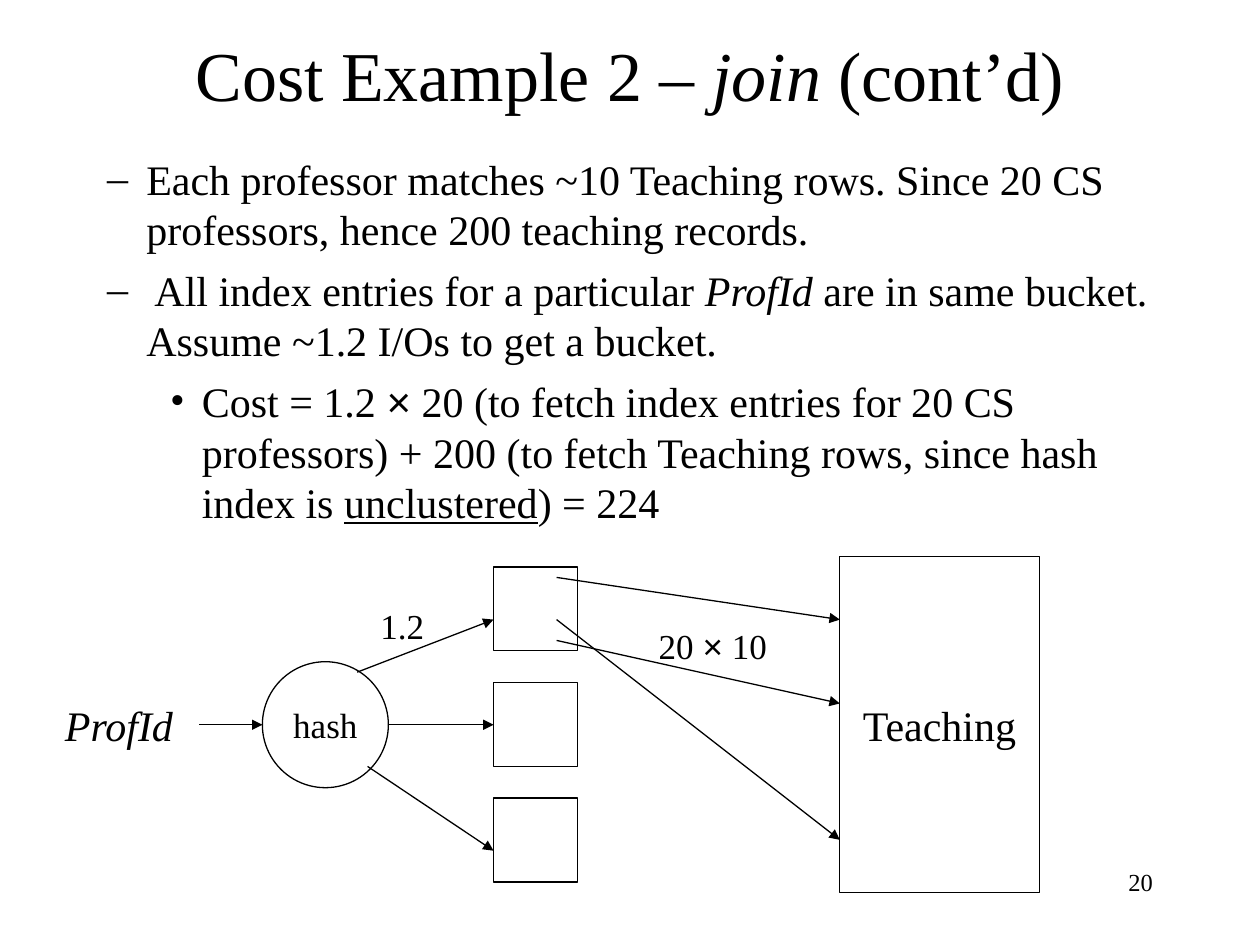
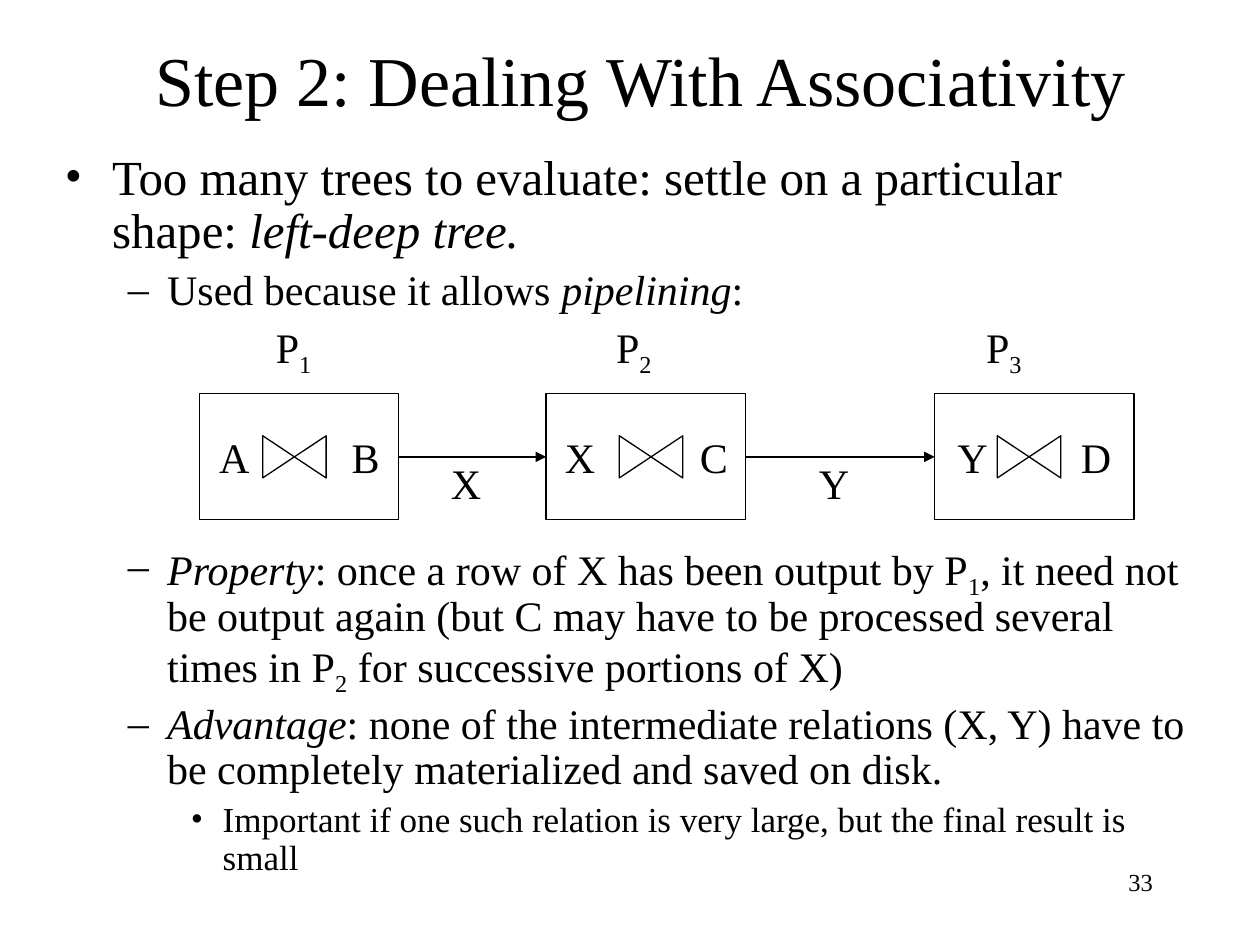
from dataclasses import dataclass

from lxml import etree
from pptx import Presentation
from pptx.dml.color import RGBColor
from pptx.enum.shapes import MSO_CONNECTOR, MSO_SHAPE
from pptx.enum.text import MSO_ANCHOR, PP_ALIGN
from pptx.oxml.ns import qn
from pptx.util import Cm, Pt

RECT, OVAL, TRIANGLE = MSO_SHAPE.RECTANGLE, MSO_SHAPE.OVAL, MSO_SHAPE.ISOSCELES_TRIANGLE
STRAIGHT = MSO_CONNECTOR.STRAIGHT
LEFT, CENTER, RIGHT = PP_ALIGN.LEFT, PP_ALIGN.CENTER, PP_ALIGN.RIGHT
MIDDLE = MSO_ANCHOR.MIDDLE


@dataclass
class Theme:
    ink: RGBColor = RGBColor(0, 0, 0)
    paper: RGBColor = RGBColor(255, 255, 255)
    font: str = "Times New Roman"
    symbol_font: str = "Arial"
    title: int = 40
    lead: int = 28
    text: int = 24
    small: int = 20
    number: int = 14
    line: float = 0.75


theme = Theme()
# Bullet, left margin and hanging indent in cm for each level
LEVELS = [("•", 0.95, -0.95), ("–", 2.06, -0.79), ("•", 3.18, -0.64)]


def write(p, parts, size, align=LEFT):
    """Fill a paragraph with (text, style) runs."""
    p.alignment = align
    for text, style in parts:
        r = p.add_run()
        r.text = text
        r.font.name = theme.symbol_font if style == "symbol" else theme.font
        r.font.size = Pt(size)
        r.font.color.rgb = theme.ink
        if style == "italic":
            r.font.italic = True
        elif style == "underline":
            r.font.underline = True
        elif style == "sub":
            r._r.get_or_add_rPr().set("baseline", "-25000")


def outlined(s, kind, left, top, width, height):
    """Add a white shape with a thin black outline."""
    sp = s.shapes.add_shape(kind, Cm(left), Cm(top), Cm(width), Cm(height))
    sp.shadow.inherit = False
    sp.fill.solid()
    sp.fill.fore_color.rgb = theme.paper
    sp.line.color.rgb = theme.ink
    sp.line.width = Pt(theme.line)
    sp.text_frame.vertical_anchor = MIDDLE
    return sp


# Slide content; paragraphs are level, size, space before, runs
join_slide = {
    "number": "20",
    "title": [("Cost Example 2 – ", ""), ("join", "italic"), (" (cont’d)", "")],
    "title_at": (1.9, 0.42, 21.59, 2.12),
    "body_at": (0.64, 2.96, 23.5, 7.83),
    "spacing": 1.0,
    "body": [
        (1, theme.text, 6, [("Each professor matches ~10 Teaching rows. Since 20 CS "
                             "professors, hence 200 teaching records.", "")]),
        (1, theme.text, 6, [(" All index entries for a particular ", ""), ("ProfId", "italic"),
                            (" are in same bucket. Assume ~1.2 I/Os to get a bucket.", "")]),
        (2, theme.text, 6, [("Cost = 1.2 ", ""), ("×", "symbol"),
                            (" 20 (to fetch index entries for 20 CS professors) + 200 "
                             "(to fetch Teaching rows, since hash index is ", ""),
                            ("unclustered", "underline"), (") = 224", "")]),
    ],
    "arrows": [
        (7.2, 13.55, 9.95, 12.49), (7.83, 14.61, 9.95, 14.61), (7.41, 15.45, 9.95, 17.15),
        (11.22, 11.64, 16.93, 12.49), (11.22, 12.49, 16.93, 16.93),
        (11.22, 12.91, 16.93, 14.18), (4.02, 14.61, 5.29, 14.61),
    ],
    "labels": [
        (7.42, 12.07, 1.4, theme.small, [("1.2", "")]),
        (13.03, 12.47, 2.82, theme.small, [("20 ", ""), ("×", "symbol"), (" 10", "")]),
        (1.06, 13.97, 2.72, theme.text, [("ProfId", "italic")]),
    ],
}
pipeline_slide = {
    "number": "33",
    "title": [("Step 2: Dealing With Associativity", "")],
    "title_at": (2.12, 0.42, 21.59, 2.33),
    "body_at": (1.06, 2.96, 23.28, 14.82),
    "spacing": 0.9,
    "body": [
        (0, theme.lead, 7, [("Too many trees to evaluate: settle on a particular shape: ", ""),
                            ("left-deep tree.", "italic")]),
        (1, theme.text, 6, [("Used because it allows ", ""), ("pipelining", "italic"), (":", "")]),
        (1, theme.text, 131, [("Property", "italic"),
                              (": once a row of X has been output by P", ""), ("1", "sub"),
                              (", it need not be output again (but C may have to be processed "
                               "several times in P", ""), ("2", "sub"),
                              (" for successive portions of X)", "")]),
        (1, theme.text, 6, [("Advantage", "italic"),
                            (": none of the intermediate relations (X, Y) have to be "
                             "completely materialized and saved on disk.", "")]),
        (2, theme.small, 5, [("Important if one such relation is very large, "
                              "but the final result is small", "")]),
    ],
    "arrows": [(8.04, 9.21, 11.01, 9.21), (15.03, 9.21, 18.84, 9.21)],
    "labels": [
        (8.84, 9.1, 1.12, theme.text, [("X", "")]),
        (16.26, 9.1, 1.12, theme.text, [("Y", "")]),
    ] + [(left, 6.35, 1.27, theme.text, [("P", ""), (str(i), "sub")])
         for i, left in enumerate((5.31, 12.17, 19.63), 1)],
}

prs = Presentation()
prs.slide_width, prs.slide_height = Cm(25.4), Cm(19.05)

for content in (join_slide, pipeline_slide):
    s = prs.slides.add_slide(prs.slide_layouts[5])

    # Title
    title = s.shapes.title
    title.left, title.top, title.width, title.height = map(Cm, content["title_at"])
    title.text_frame.vertical_anchor = MIDDLE
    write(title.text_frame.paragraphs[0], content["title"], theme.title, CENTER)

    # Bulleted body
    tf = s.shapes.add_textbox(*map(Cm, content["body_at"])).text_frame
    tf.word_wrap = True
    for i, (level, size, before, parts) in enumerate(content["body"]):
        p = tf.add_paragraph() if i else tf.paragraphs[0]
        write(p, parts, size)
        p.level = level
        p.line_spacing = content["spacing"]
        p.space_before = Pt(before)
        bullet, margin, indent = LEVELS[level]
        pPr = p._p.get_or_add_pPr()
        pPr.set("marL", str(Cm(margin)))
        pPr.set("indent", str(Cm(indent)))
        etree.SubElement(pPr, qn("a:buFont")).set("typeface", theme.font)
        etree.SubElement(pPr, qn("a:buChar")).set("char", bullet)

    if content is join_slide:
        # Hash buckets, table and hash function
        for i in range(3):
            outlined(s, RECT, 9.95, 11.43 + i * 2.33, 1.69, 1.69)
        for kind, at, name, size in [
            (RECT, (16.93, 11.22, 4.02, 6.77), "Teaching", theme.text),
            (OVAL, (5.29, 13.34, 2.54, 2.54), "hash", theme.small),
        ]:
            tf = outlined(s, kind, *at).text_frame
            tf.word_wrap = False
            write(tf.paragraphs[0], [(name, "")], size, CENTER)
    else:
        # Pipeline stages, each with its two inputs around a join symbol
        for left, names, inset, tab, bowtie in [
            (4.02, "A\tB", 0.4, 2.67, 1.17),
            (11.01, "X\tC", 0.38, 2.72, 1.37),
            (18.84, "Y\tD", 0.46, 2.49, 1.16),
        ]:
            tf = outlined(s, RECT, left, 7.94, 4.02, 2.54).text_frame
            tf.margin_left, tf.margin_right = Cm(inset), 0
            p = tf.paragraphs[0]
            write(p, [(names, "")], theme.text)
            tabs = etree.SubElement(p._p.get_or_add_pPr(), qn("a:tabLst"))
            etree.SubElement(tabs, qn("a:tab"), pos=str(Cm(tab)), algn="l")
            for side, angle in enumerate((90, 270)):
                sp = outlined(s, TRIANGLE, left + bowtie + side * 0.64, 8.89, 0.85, 0.64)
                sp.rotation = angle

    # Arrows
    for ends in content["arrows"]:
        line = s.shapes.add_connector(STRAIGHT, *map(Cm, ends))
        line.line.color.rgb = theme.ink
        line.line.width = Pt(theme.line)
        etree.SubElement(line.line._get_or_add_ln(), qn("a:tailEnd")).set("type", "triangle")
        etree.SubElement(line._element.spPr, qn("a:effectLst"))

    # Diagram labels
    for left, top, width, size, parts in content["labels"]:
        tf = s.shapes.add_textbox(Cm(left), Cm(top), Cm(width), Cm(1.2)).text_frame
        tf.word_wrap = False
        write(tf.paragraphs[0], parts, size)

    # Slide number
    tf = s.shapes.add_textbox(Cm(18.2), Cm(17.36), Cm(5.29), Cm(1.27)).text_frame
    tf.word_wrap = True
    write(tf.paragraphs[0], [(content["number"], "")], theme.number, RIGHT)

prs.save("out.pptx")
